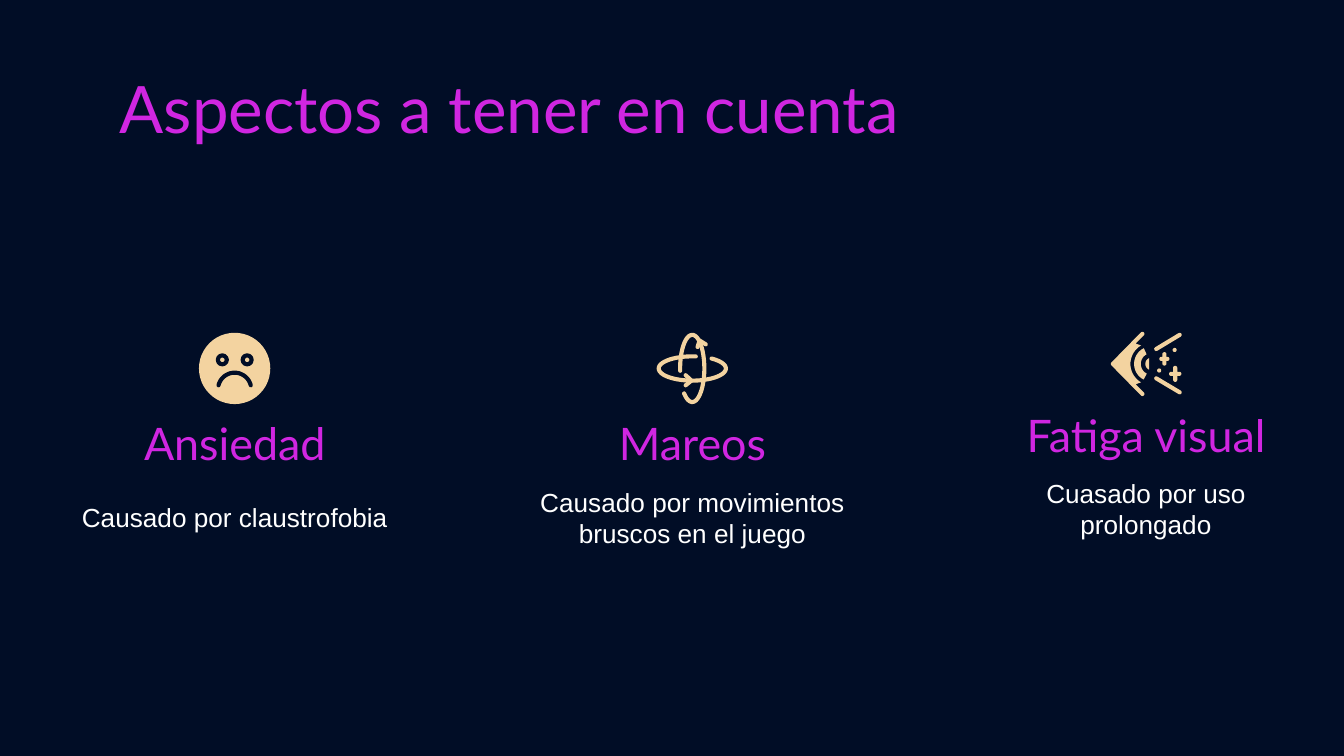
from math import cos, radians, sin

from lxml.etree import SubElement
from pptx import Presentation
from pptx.dml.color import RGBColor
from pptx.enum.shapes import MSO_CONNECTOR as CONNECTOR, MSO_SHAPE as SHAPE
from pptx.enum.text import MSO_ANCHOR as ANCHOR, MSO_AUTO_SIZE as AUTO_SIZE, PP_ALIGN as ALIGN
from pptx.oxml.ns import qn
from pptx.util import Pt

NIGHT, MAGENTA, SAND, WHITE = "010D26", "D026E1", "F3D3A0", "FFFFFF"
STROKE = 2.2
HEADING = {"name": "Lato", "size": Pt(24)}
TITLE = {"name": "Lato", "size": Pt(35)}
CAPTION = {"name": "Arial", "size": Pt(14)}
ASPECTS = [
    (28.9, 216.4, "Ansiedad", "Causado por claustrofobia"),
    (274.1, 216.4, "Mareos", "Causado por movimientos bruscos en el juego"),
    (517.1, 211.7, "Fatiga visual", "Cuasado por uso prolongado"),
]


def paint(color_format, hex_color):
    """Give a fill one solid colour."""
    color_format.solid()
    color_format.fore_color.rgb = RGBColor.from_string(hex_color)


def outline(line, hex_color, width=STROKE, cap="rnd"):
    """Style a line and its ends."""
    paint(line.fill, hex_color)
    line.width = Pt(width)
    line._get_or_add_ln().set("cap", cap)


def write(box, bounds, text, font_format, hex_color, align):
    """Place a text shape and fill it with one formatted paragraph."""
    box.left, box.top, box.width, box.height = map(Pt, bounds)
    frame = box.text_frame
    frame_format = {"word_wrap": True, "auto_size": AUTO_SIZE.NONE,
                    "vertical_anchor": ANCHOR.MIDDLE}
    for side in ("left", "top", "right", "bottom"):
        frame_format[f"margin_{side}"] = Pt(7.2)
    for key, value in frame_format.items():
        setattr(frame, key, value)
    paragraph = frame.paragraphs[0]
    paragraph.alignment = align
    run = paragraph.add_run()
    run.text = text
    for key, value in font_format.items():
        setattr(run.font, key, value)
    run.font.color.rgb = RGBColor.from_string(hex_color)


def add_text(shapes, bounds, *content):
    """Add a centred text box."""
    write(shapes.add_textbox(*map(Pt, bounds)), bounds, *content, ALIGN.CENTER)


def add_disc(shapes, x, y, radius, rim=None, rim_width=STROKE):
    """Add a sand disc around a centre, with an optional rim."""
    disc = shapes.add_shape(SHAPE.OVAL, Pt(x - radius), Pt(y - radius),
                            Pt(2 * radius), Pt(2 * radius))
    disc.shadow.inherit = False
    paint(disc.fill, SAND)
    if rim:
        outline(disc.line, rim, rim_width)
    else:
        disc.line.fill.background()


def add_outline(shapes, points, closed):
    """Add a freeform through points without shadow."""
    corners = [(Pt(x), Pt(y)) for x, y in points]
    builder = shapes.build_freeform(*corners[0])
    builder.add_line_segments(corners[1:], close=closed)
    form = builder.convert_to_shape()
    form.shadow.inherit = False
    return form


def add_patch(shapes, points):
    """Add a filled sand area."""
    patch = add_outline(shapes, points, True)
    paint(patch.fill, SAND)
    patch.line.fill.background()


def add_stroke(shapes, points, hex_color=SAND, width=STROKE, cap="rnd"):
    """Add an open line through points."""
    stroke = add_outline(shapes, points, False)
    stroke.fill.background()
    outline(stroke.line, hex_color, width, cap)


def add_straight(shapes, x1, y1, x2, y2):
    """Add a straight sand line with round ends."""
    straight = shapes.add_connector(CONNECTOR.STRAIGHT, *map(Pt, (x1, y1, x2, y2)))
    outline(straight.line, SAND)
    SubElement(straight._element.spPr, qn("a:effectLst"))


def arc(x, y, rx, ry, start, end, steps=48):
    """Return points along an ellipse, clockwise in degrees from the right."""
    angles = [radians(start + (end - start) * i / steps) for i in range(steps + 1)]
    return [(x + rx * cos(angle), y + ry * sin(angle)) for angle in angles]


def bend(x, y, start, end):
    """Return points of a round stroke end or corner."""
    return arc(x, y, STROKE / 2, STROKE / 2, start, end, 12)


def add_spark(shapes, x, y, half_width, half_height):
    """Add a plus sign with round arms."""
    points = []
    for angle in (0, 90, 180, 270):
        dx, dy = cos(radians(angle)), sin(radians(angle))
        points += bend(x + half_width * dx, y + half_height * dy, angle - 90, angle + 90)
        points.append((x + STROKE / 2 * (dx - dy), y + STROKE / 2 * (dx + dy)))
    add_patch(shapes, points)


def draw_sad_face(shapes):
    """Draw the face for anxiety."""
    add_disc(shapes, 125.7, 197.4, 19.1)
    for eye_x in (119.1, 132.4):
        add_disc(shapes, eye_x, 192.8, 2.4, NIGHT, 2.2)
    add_stroke(shapes, arc(125.7, 208.6, 8.9, 8.9, 194, 346), NIGHT)


def draw_orbits(shapes):
    """Draw the turning orbits for dizziness."""
    add_stroke(shapes, arc(370.9, 197.4, 6.5, 18, 176, 492))
    add_stroke(shapes, arc(370.9, 197.4, 18, 6.5, -55, 276))
    add_stroke(shapes, [(373.7, 185.9), (374.8, 182.4), (378.1, 184.5)])
    add_stroke(shapes, [(367.3, 201), (370.4, 203.9), (367.3, 206.4)])


def draw_tired_eye(shapes):
    """Draw the eye with rays and sparks for eye strain."""
    eye_x, eye_y = 617, 195
    add_patch(shapes, [*bend(612, 178.9, 45, -135), *bend(596.2, eye_y, 225, 135),
                       *bend(612, 211.1, 135, -45), (608.4, 205.9),
                       *arc(eye_x, eye_y, 11.4, 11.4, 120, 240), (608.4, 184.1)])
    add_stroke(shapes, arc(eye_x, eye_y, 7.6, 7.6, 117, 243), width=3.6, cap="flat")
    add_patch(shapes, arc(eye_x, eye_y, 3.4, 3.4, 115, 245))
    for near, far in ((187, 179.4), (202.7, 210.2)):
        add_straight(shapes, 619.4, near, 632, far)
    add_spark(shapes, 629.6, 200.3, 2.2, 3.2)
    add_spark(shapes, 623.8, 192.3, 1.6, 2.5)
    for x, y in ((629.3, 187.5), (621, 198.5)):
        add_disc(shapes, x, y, 1.1)


def main():
    """Build the slide and save it."""
    deck = Presentation()
    deck.slide_width, deck.slide_height = Pt(720), Pt(405)
    slide = deck.slides.add_slide(deck.slide_layouts[5])
    paint(slide.background.fill, NIGHT)
    shapes = slide.shapes
    write(shapes.title, (56.9, 34.9, 607, 45.4), "Aspectos a tener en cuenta",
          TITLE, MAGENTA, ALIGN.LEFT)
    for left, top, heading, cause in ASPECTS:
        add_text(shapes, (left, top, 193.7, 41.8), heading, HEADING, MAGENTA)
        add_text(shapes, (left, top + 41.7, 193.7, 38.2), cause, CAPTION, WHITE)
    for draw in (draw_sad_face, draw_orbits, draw_tired_eye):
        draw(shapes)
    deck.save("out.pptx")


if __name__ == "__main__":
    main()
